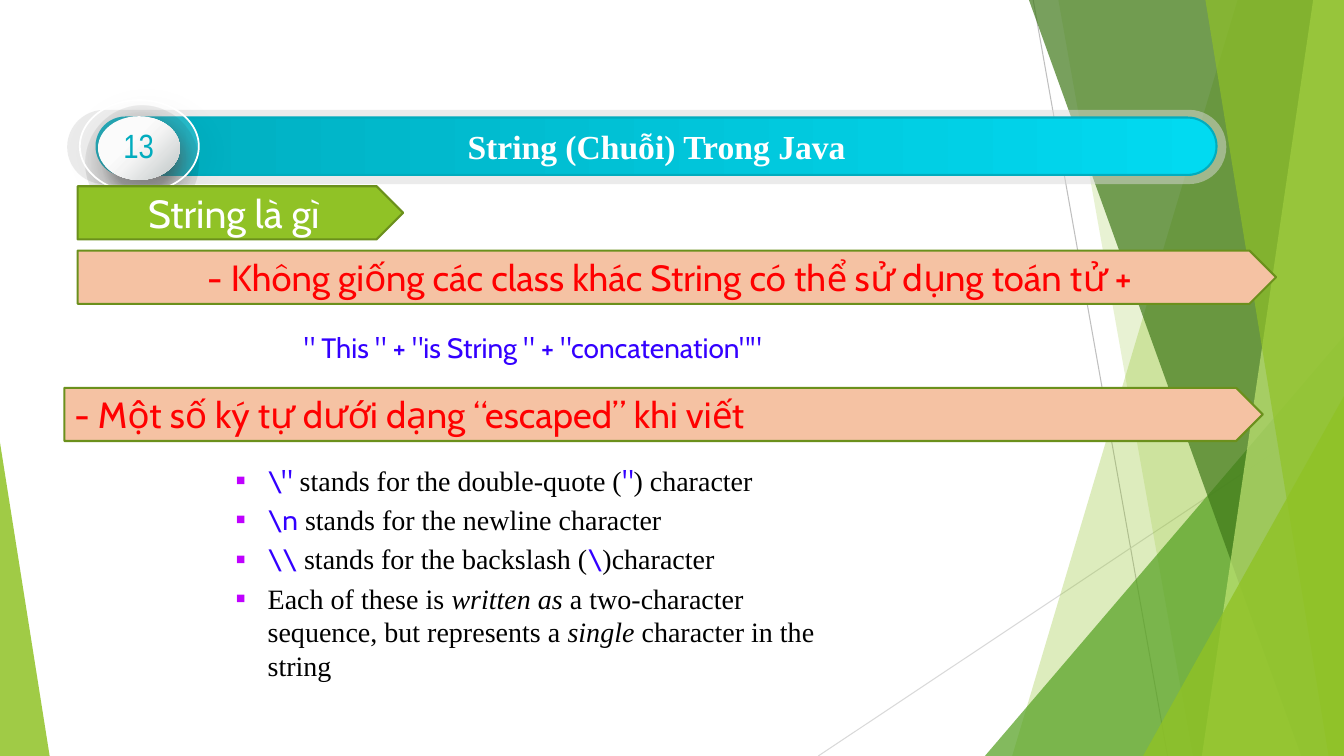
from dataclasses import dataclass
from typing import Optional, Union

from lxml.etree import SubElement
from pptx import Presentation
from pptx.dml.color import RGBColor
from pptx.enum.shapes import MSO_CONNECTOR as Link, MSO_SHAPE as Kind
from pptx.enum.text import MSO_ANCHOR as Anchor, MSO_AUTO_SIZE as Fit, PP_ALIGN as Align
from pptx.oxml.ns import qn
from pptx.util import Pt

WIDTH, HEIGHT = 960, 540
WHITE, BLACK = RGBColor(255, 255, 255), RGBColor(0, 0, 0)
LIME, OLIVE = RGBColor(0x90, 0xC2, 0x26), RGBColor(0x6B, 0x90, 0x1C)
GREEN, FOREST = RGBColor(0x54, 0xA0, 0x21), RGBColor(0x3F, 0x78, 0x19)
PALE, PEACH = RGBColor(0xC0, 0xE4, 0x74), RGBColor(0xF5, 0xC2, 0xA3)
TEAL, CYAN = RGBColor(0x01, 0xAC, 0xBE), RGBColor(0x01, 0xDA, 0xF1)
SILVER, MIST = RGBColor(0xD9, 0xD9, 0xD9), RGBColor(0xF7, 0xF7, 0xF7)
GREY, STEEL = RGBColor(0xBF, 0xBF, 0xBF), RGBColor(0xB8, 0xC0, 0xC0)
SHADE, RED = RGBColor(0x49, 0x49, 0x49), RGBColor(255, 0, 0)
BLUE, VIOLET = RGBColor(0x33, 0, 255), RGBColor(0xBF, 0, 255)
SANS, SERIF, SLIM = "Cabin", "Times New Roman", "Arial Narrow"


@dataclass
class Ribbon:
    top: float
    foot: float
    color: RGBColor
    alpha: int


@dataclass
class Wedge:
    box: tuple
    apex: float
    color: RGBColor
    alpha: int


@dataclass
class Banner:
    box: tuple
    text: str
    size: int
    fill: RGBColor
    ink: RGBColor
    align: Align


@dataclass
class Piece:
    text: str
    font: str = SERIF
    color: RGBColor = BLACK
    slant: bool = False


def code(text: str) -> Piece:
    return Piece(text, SANS, BLUE)


RAYS = [(738, 0, 834, 540, GREY), (960, 290, 584.5, 540, SILVER)]
DECOR = [
    Ribbon(884, 723, LIME, 30),
    Ribbon(756, 852, LIME, 20),
    Wedge((703.5, 240, 256.5, 300), 1, GREEN, 72),
    Ribbon(735, 929.5, FOREST, 70),
    Ribbon(938, 858.5, PALE, 70),
    Ribbon(861, 949, LIME, 65),
    Wedge((816.5, 283, 143.5, 257), 1, LIME, 80),
    Wedge((0, 316, 35.5, 224), 0, LIME, 85),
]
BANNERS = [
    Banner((55.5, 133, 232.5, 38), "String là gì", 28, LIME, WHITE, Align.CENTER),
    Banner((55.5, 179, 856, 38), "- Không giống các class khác String có thể sử dụng toán tử +",
           26, PEACH, RED, Align.CENTER),
    Banner((46, 277, 856, 38), "- Một số ký tự dưới dạng “escaped” khi viết",
           26, PEACH, RED, Align.LEFT),
]
RULES = [
    [code('\\"'), Piece(" stands for the double-quote ("), code('"'), Piece(") character")],
    [code("\\n"), Piece(" stands for the newline character")],
    [code("\\\\"), Piece(" stands for the backslash ("), code("\\"), Piece(")character")],
    [Piece("Each of these is "), Piece("written as", slant=True),
     Piece(" a two-character sequence, but represents a "),
     Piece("single", slant=True), Piece(" character in the string")],
]


def tint(node, color: RGBColor, alpha: int = 100) -> None:
    mark = SubElement(node, qn("a:srgbClr"), val=str(color))
    if alpha < 100:
        SubElement(mark, qn("a:alpha"), val=str(alpha * 1000))


def paint(shape, fill: RGBColor, alpha: int = 100,
          edge: Optional[RGBColor] = None, width: float = 1.5) -> None:
    shape.shadow.inherit = False
    shape.fill.solid()
    shape.fill.fore_color.rgb = fill
    if alpha < 100:
        mark = shape.element.spPr.find(qn("a:solidFill")).find(qn("a:srgbClr"))
        SubElement(mark, qn("a:alpha"), val=str(alpha * 1000))
    if edge is None:
        shape.line.fill.background()
    else:
        shape.line.color.rgb, shape.line.width = edge, Pt(width)


def blend(shape, stops: list, angle: Optional[int]) -> None:
    """Fill with a gradient; no angle gives a round one."""
    shape.fill.gradient()
    grad = shape.element.spPr.find(qn("a:gradFill"))
    for child in list(grad):
        grad.remove(child)
    row = SubElement(grad, qn("a:gsLst"))
    for spot, color, alpha in stops:
        tint(SubElement(row, qn("a:gs"), pos=str(spot * 1000)), color, alpha)
    if angle is None:
        ring = SubElement(grad, qn("a:path"), {"path": "circle"})
        SubElement(ring, qn("a:fillToRect"), dict.fromkeys("ltrb", "50000"))
    else:
        SubElement(grad, qn("a:lin"), ang=str(angle * 60000), scaled="0")


def shade(shape, color: RGBColor, alpha: int, blur: int) -> None:
    glow = shape.element.spPr.find(qn("a:effectLst"))
    drop = SubElement(glow, qn("a:outerShdw"), blurRad=str(Pt(blur)),
                      dist=str(Pt(7)), dir=str(45 * 60000))
    tint(drop, color, alpha)


def add(shapes, kind: Kind, box: tuple, adj: Optional[float] = None):
    shape = shapes.add_shape(kind, *map(Pt, box))
    if adj is not None:
        shape.adjustments[0] = adj
    return shape


def draw_decor(shapes, part: Union[Ribbon, Wedge]) -> None:
    if isinstance(part, Wedge):
        shape = add(shapes, Kind.ISOSCELES_TRIANGLE, part.box, part.apex)
    else:
        pen = shapes.build_freeform(Pt(part.top), 0)
        pen.add_line_segments([(Pt(x), Pt(y)) for x, y in
                               [(WIDTH, 0), (WIDTH, HEIGHT), (part.foot, HEIGHT)]])
        shape = pen.convert_to_shape()
    paint(shape, part.color, part.alpha)


def style(item, name: str, size: int, color: RGBColor, bold: bool = False) -> None:
    font = item.font
    font.name, font.size, font.bold = name, Pt(size), bold
    font.color.rgb = color


def place(shape, box: tuple) -> None:
    shape.left, shape.top, shape.width, shape.height = map(Pt, box)


def label(shape, text: str, name: str, size: int, color: RGBColor,
          align: Align = Align.CENTER, bold: bool = False):
    frame = shape.text_frame
    frame.text, frame.word_wrap, frame.auto_size = text, True, Fit.NONE
    para = frame.paragraphs[0]
    para.alignment = align
    style(para.runs[0], name, size, color, bold)
    return frame


def draw_rule(para, pieces: list, first: bool) -> None:
    para.level = 1
    props = para._p.get_or_add_pPr()
    props.set("marL", str(Pt(58.5)))
    props.set("indent", str(Pt(-22.5)))
    tint(SubElement(props, qn("a:buClr")), VIOLET)
    SubElement(props, qn("a:buSzPct"), val="55000")
    SubElement(props, qn("a:buChar"), char="■")
    para.space_before = Pt(0 if first else 4)
    for piece in pieces:
        run = para.add_run()
        run.text = piece.text
        style(run, piece.font, 20, piece.color)
        run.font.italic = piece.slant


def main() -> None:
    deck = Presentation()
    deck.slide_width, deck.slide_height = Pt(WIDTH), Pt(HEIGHT)
    slide = deck.slides.add_slide(deck.slide_layouts[1])
    shapes = slide.shapes
    title, body = shapes.title, slide.placeholders[1]

    # Green backdrop
    for x1, y1, x2, y2, color in RAYS:
        ray = shapes.add_connector(Link.STRAIGHT, Pt(x1), Pt(y1), Pt(x2), Pt(y2))
        ray.line.color.rgb, ray.line.width = color, Pt(0.75)
        SubElement(ray.element.spPr, qn("a:effectLst"))
    for part in DECOR:
        draw_decor(shapes, part)

    # Title bar
    paint(add(shapes, Kind.ROUNDED_RECTANGLE, (48, 78.5, 828, 53), 0.5), SILVER, 50)
    bar_box = (69, 84, 800, 41)
    bar = add(shapes, Kind.ROUNDED_RECTANGLE, bar_box, 0.5)
    paint(bar, TEAL, edge=TEAL)
    blend(bar, [(0, TEAL, 100), (100, CYAN, 100)], 0)
    shapes.element.append(title.element)
    place(title, bar_box)
    frame = label(title, "String (Chuỗi) Trong Java", SERIF, 24, WHITE, bold=True)
    frame.vertical_anchor = Anchor.MIDDLE

    # Number badge
    fade = [(0, 100), (17, 46), (34, 43), (51, 20), (65, 10), (78, 5), (100, 0)]
    sheen = [(0, WHITE, 100), (43, MIST, 100), (100, STEEL, 100)]
    gloss = [(11, WHITE, 100), (39, WHITE, 100), (53, MIST, 100), (100, STEEL, 100)]
    dark = [(spot, BLACK, alpha) for spot, alpha in fade]
    discs = [((61, 75.5, 81, 82), dark, None), ((77, 88.5, 50, 38), sheen, 45),
             ((70, 83, 58.5, 45.5), gloss, 45)]
    for box, stops, angle in discs:
        disc = add(shapes, Kind.OVAL, box)
        paint(disc, WHITE)
        blend(disc, stops, angle)
        if stops is sheen:
            shade(disc, SHADE, 30, 11)
    ring = add(shapes, Kind.OVAL, (57, 71.5, 85, 66))
    paint(ring, WHITE, 14, WHITE, 1.25)
    shade(ring, BLACK, 11, 17)
    label(shapes.add_textbox(*map(Pt, (75, 86, 48, 36))), "13", SLIM, 24, TEAL)

    # Arrow banners
    for item in BANNERS:
        arrow = add(shapes, Kind.PENTAGON, item.box)
        paint(arrow, item.fill, edge=OLIVE)
        frame = label(arrow, item.text, SANS, item.size, item.ink, item.align)
        frame.vertical_anchor = Anchor.MIDDLE

    # Escape list and sample
    shapes.element.append(body.element)
    place(body, (125.5, 327.5, 480, 167))
    frame = body.text_frame
    frame.auto_size = Fit.NONE
    for n, pieces in enumerate(RULES):
        draw_rule(frame.add_paragraph() if n else frame.paragraphs[0], pieces, n == 0)
    sample = shapes.add_textbox(*map(Pt, (210, 232.5, 363, 31.5)))
    label(sample, '" This " + "is String " + "concatenation""', SANS, 20, BLUE, Align.LEFT)

    deck.save("out.pptx")


if __name__ == "__main__":
    main()
